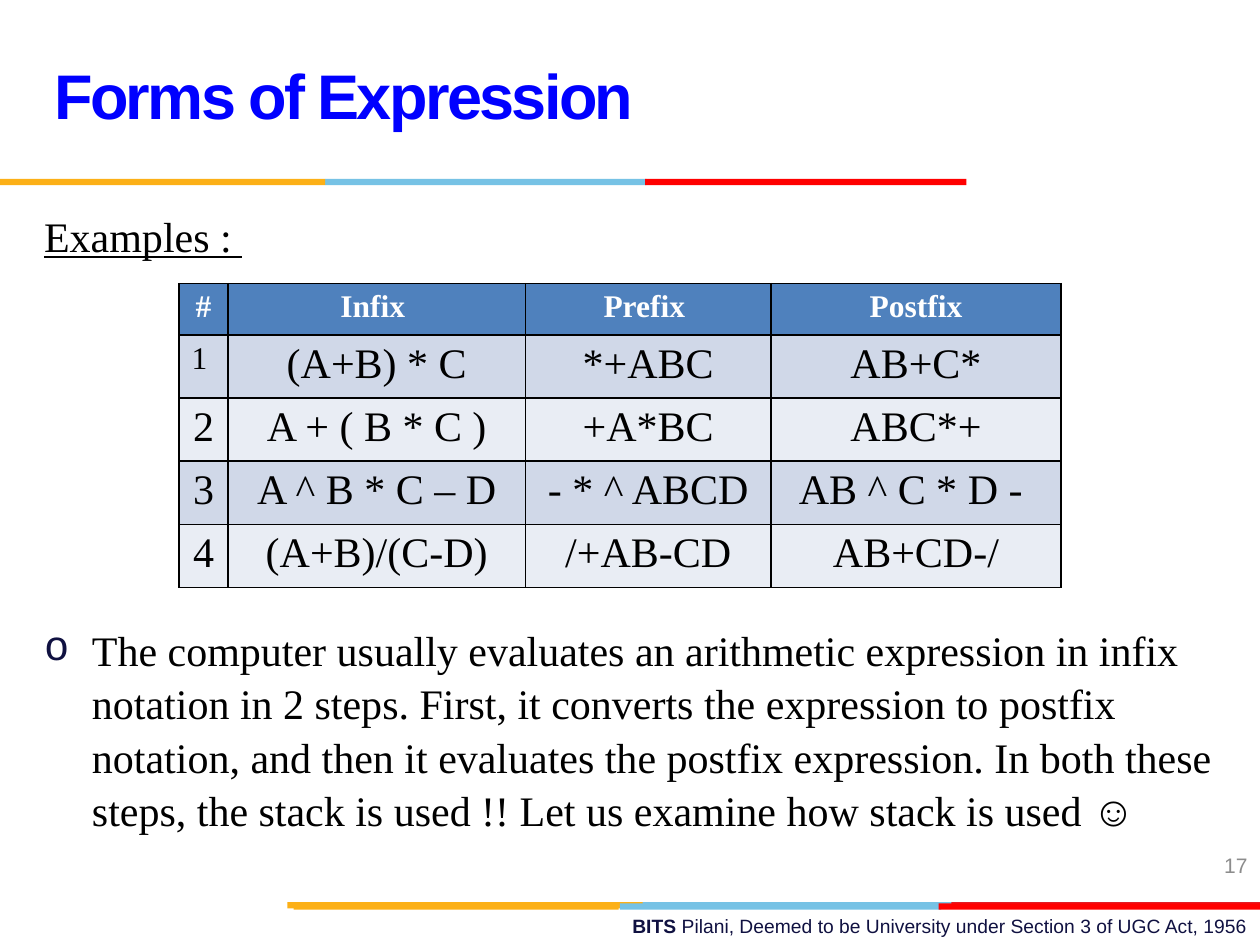
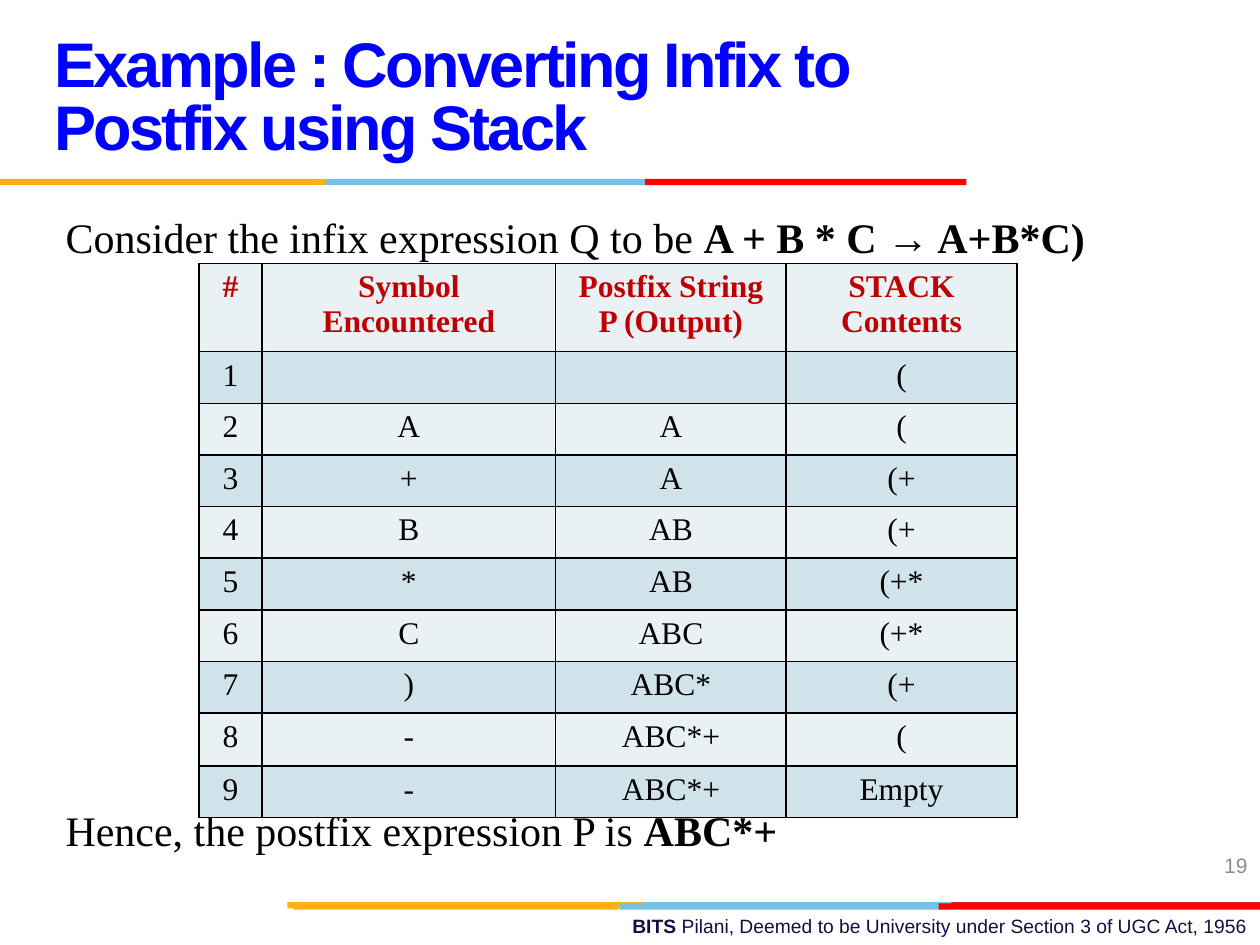
from dataclasses import dataclass

from lxml.etree import SubElement
from pptx import Presentation
from pptx.dml.color import RGBColor
from pptx.enum.shapes import MSO_SHAPE
from pptx.enum.text import MSO_ANCHOR, MSO_AUTO_SIZE, PP_ALIGN
from pptx.oxml.ns import qn
from pptx.util import Inches, Pt

# Shared colours and fonts
BLACK, WHITE, NAVY, GREY = "000000", "FFFFFF", "101141", "8C8C8C"
TITLE_BLUE, DARK_RED = "0000FF", "C00000"
GOLD, SKY, RED, CRIMSON = "FCB017", "76C2E5", "FF0000", "E31C24"
SANS, SERIF = "Arial", "Times New Roman"


@dataclass(frozen=True)
class Box:
    left: float
    top: float
    width: float
    height: float

    def lengths(self) -> tuple:
        return tuple(Inches(v) for v in (self.left, self.top, self.width, self.height))


@dataclass(frozen=True)
class Band:
    box: Box
    color: str


@dataclass(frozen=True)
class TextRun:
    text: str
    bold: bool = False
    underline: bool = False


@dataclass(frozen=True)
class BodyLine:
    runs: tuple
    line_spacing: float = 1.0
    space_before: float = 0
    bullet: str = ""


@dataclass(frozen=True)
class TableStyle:
    header_fill: str
    header_color: str
    row_fills: tuple
    body_size: int


@dataclass(frozen=True)
class Grid:
    left: float
    top: float
    columns: tuple
    row_heights: tuple
    rows: tuple
    style: TableStyle


BAND_HEIGHT = 0.05
BANDS = tuple(
    Band(Box(left, top, width, BAND_HEIGHT), color)
    for left, top, width, color in (
        # Footer, back layer
        (5.06, 7.16, 2.55, SKY), (7.55, 7.16, 2.45, CRIMSON), (2.28, 7.16, 2.82, GOLD),
        # Footer, front layer
        (4.92, 7.17, 2.55, SKY), (2.33, 7.17, 2.58, GOLD), (7.45, 7.17, 2.55, RED),
        # Under the title
        (2.58, 1.42, 2.55, SKY), (0, 1.42, 2.58, GOLD), (5.12, 1.42, 2.55, RED),
    )
)
TITLE_BOX = Box(0.33, 0.17, 6.92, 1.25)
FOOTER_BOX = Box(3.58, 7.21, 6.42, 0.29)
NUMBER_BOX = Box(7.67, 6.67, 2.33, 0.4)
FOOTER_RUNS = (
    TextRun("BITS ", bold=True),
    TextRun("Pilani, Deemed to be University under Section 3 of UGC Act, 1956"),
)


def rgb(color: str) -> RGBColor:
    return RGBColor.from_string(color)


def format_font(font, name: str, size: float, color: str, bold: bool = False) -> None:
    font.name, font.size, font.bold = name, Pt(size), bold
    font.color.rgb = rgb(color)


def add_runs(paragraph, runs: tuple, name: str, size: float, color: str) -> None:
    for item in runs:
        run = paragraph.add_run()
        run.text = item.text
        format_font(run.font, name, size, color, item.bold)
        if item.underline:
            run.font.underline = True


def add_bands(slide) -> None:
    for band in BANDS:
        shape = slide.shapes.add_shape(MSO_SHAPE.RECTANGLE, *band.box.lengths())
        shape.shadow.inherit = False
        shape.fill.solid()
        shape.fill.fore_color.rgb = rgb(band.color)
        shape.line.fill.background()


def add_right_text(slide, box: Box, runs: tuple, size: float, color: str,
                   anchor=MSO_ANCHOR.TOP) -> None:
    text_frame = slide.shapes.add_textbox(*box.lengths()).text_frame
    text_frame.word_wrap = True
    text_frame.vertical_anchor = anchor
    paragraph = text_frame.paragraphs[0]
    paragraph.alignment = PP_ALIGN.RIGHT
    add_runs(paragraph, runs, SANS, size, color)


def place(shape, box: Box) -> None:
    shape.left, shape.top, shape.width, shape.height = box.lengths()
    shape.text_frame.auto_size = MSO_AUTO_SIZE.NONE
    shape.text_frame.word_wrap = True


def fill_title(slide, title: str) -> None:
    shape = slide.shapes.title
    place(shape, TITLE_BOX)
    shape.text_frame.vertical_anchor = MSO_ANCHOR.MIDDLE
    paragraph = shape.text_frame.paragraphs[0]
    paragraph.alignment = PP_ALIGN.LEFT
    paragraph.line_spacing = Pt(36)
    add_runs(paragraph, (TextRun(title, bold=True),), SANS, 36, TITLE_BLUE)
    paragraph.runs[0].font._element.set("spc", "-150")


def set_bullet(paragraph, bullet: str) -> None:
    properties = paragraph._p.get_or_add_pPr()
    indent = Inches(0.38) if bullet else 0
    properties.set("marL", str(indent))
    properties.set("indent", str(-indent))
    if not bullet:
        SubElement(properties, qn("a:buNone"))
        return
    color = SubElement(properties, qn("a:buClr"))
    SubElement(color, qn("a:srgbClr")).set("val", NAVY)
    SubElement(properties, qn("a:buFont")).set("typeface", "Courier New")
    SubElement(properties, qn("a:buChar")).set("char", bullet)


def fill_body(slide, box: Box, lines: tuple) -> None:
    shape = slide.placeholders[1]
    place(shape, box)
    text_frame = shape.text_frame
    for index, line in enumerate(lines):
        paragraph = text_frame.add_paragraph() if index else text_frame.paragraphs[0]
        set_bullet(paragraph, line.bullet)
        paragraph.line_spacing = line.line_spacing
        paragraph.space_before = Pt(line.space_before)
        add_runs(paragraph, line.runs, SERIF, 24, BLACK)


def format_cell(cell, fill: str) -> None:
    properties = cell._tc.get_or_add_tcPr()
    for side in ("a:lnL", "a:lnR", "a:lnT", "a:lnB"):
        border = SubElement(properties, qn(side), w=str(Pt(1)))
        solid = SubElement(border, qn("a:solidFill"))
        SubElement(solid, qn("a:srgbClr")).set("val", BLACK)
    cell.fill.solid()
    cell.fill.fore_color.rgb = rgb(fill)


def add_grid(slide, grid: Grid):
    box = Box(grid.left, grid.top, sum(grid.columns), sum(grid.row_heights))
    frame = slide.shapes.add_table(len(grid.rows), len(grid.columns), *box.lengths())
    table, style = frame.table, grid.style
    for column, width in zip(table.columns, grid.columns):
        column.width = Inches(width)
    for row_index, (values, height) in enumerate(zip(grid.rows, grid.row_heights)):
        table.rows[row_index].height = Inches(height)
        header = row_index == 0
        fill = style.header_fill if header else style.row_fills[(row_index - 1) % 2]
        for column_index, value in enumerate(values):
            cell = table.cell(row_index, column_index)
            format_cell(cell, fill)
            paragraph = cell.text_frame.paragraphs[0]
            paragraph.alignment = PP_ALIGN.CENTER
            if value:
                add_runs(paragraph, (TextRun(value, bold=header),), SERIF,
                         18 if header else style.body_size,
                         style.header_color if header else BLACK)
    return table


def add_base_slide(presentation, title: str, number: int):
    slide = presentation.slides.add_slide(presentation.slide_layouts[1])
    add_right_text(slide, FOOTER_BOX, FOOTER_RUNS, 11, NAVY)
    add_bands(slide)
    fill_title(slide, title)
    add_right_text(slide, NUMBER_BOX, (TextRun(str(number)),), 12, GREY, MSO_ANCHOR.MIDDLE)
    return slide


FORMS_GRID = Grid(
    1.42, 2.25, (0.39, 2.36, 1.95, 2.3), (0.41,) + (0.47,) * 4,
    (
        ("#", "Infix ", "Prefix ", "Postfix"),
        ("1", "(A+B) * C", "*+ABC", "AB+C*"),
        ("2", "A + ( B * C )", "+A*BC", "ABC*+"),
        ("3", "A ^ B * C – D", "- * ^ ABCD", "AB ^ C * D - "),
        ("4", "(A+B)/(C-D)", "/+AB-CD", "AB+CD-/"),
    ),
    TableStyle("4F81BD", WHITE, ("D0D8E8", "E9EDF4"), 24),
)
STACK_GRID = Grid(
    1.58, 2.09, (0.5, 2.33, 1.83, 1.83), (0.65,) + (0.41,) * 7 + (0.42, 0.41),
    (
        ("#", "Symbol Encountered", "Postfix String P (Output)", "STACK Contents"),
        ("1", "", "", "("),
        ("2", "A", "A", "("),
        ("3", "+", "A", "(+"),
        ("4", "B", "AB", "(+"),
        ("5", "*", "AB", "(+*"),
        ("6", "C", "ABC", "(+*"),
        ("7", ")", "ABC*", "(+"),
        ("8", "-", "ABC*+", "("),
        ("9", "-", "ABC*+", "Empty"),
    ),
    TableStyle("E9F1F5", DARK_RED, ("D0E3EA", "E9F1F5"), 18),
)


def add_forms_slide(presentation) -> None:
    slide = add_base_slide(presentation, "Forms of Expression", 17)
    fill_body(slide, Box(0.25, 1.62, 9.5, 5.48), (
        BodyLine((TextRun("Examples : ", underline=True),)),
        BodyLine((TextRun(
            "The computer usually evaluates an arithmetic expression in infix notation "
            "in 2 steps. First, it converts the expression to postfix notation, and then "
            "it evaluates the postfix expression. In both these steps, the stack is used "
            "!! Let us examine how stack is used ☺"),), 1.06, 206, "o"),
    ))
    table = add_grid(slide, FORMS_GRID)
    # The first row number is smaller and set to the left
    first_number = table.cell(1, 0).text_frame.paragraphs[0]
    first_number.alignment = PP_ALIGN.LEFT
    first_number.runs[0].font.size = Pt(18)


def add_conversion_slide(presentation) -> None:
    slide = add_base_slide(
        presentation, "Example : Converting Infix to Postfix using Stack", 19)
    fill_body(slide, Box(0.42, 1.67, 9, 5.4), (
        BodyLine((TextRun("Consider the infix expression Q to be "),
                  TextRun("A + B * C → A+B*C)", bold=True)), 0.9),
        BodyLine((TextRun("Hence, the postfix expression P is "),
                  TextRun("ABC*+", bold=True)), 0.9, 313),
    ))
    add_grid(slide, STACK_GRID)


def main() -> None:
    presentation = Presentation()
    presentation.slide_width, presentation.slide_height = Inches(10), Inches(7.5)
    add_forms_slide(presentation)
    add_conversion_slide(presentation)
    presentation.save("out.pptx")


if __name__ == "__main__":
    main()
